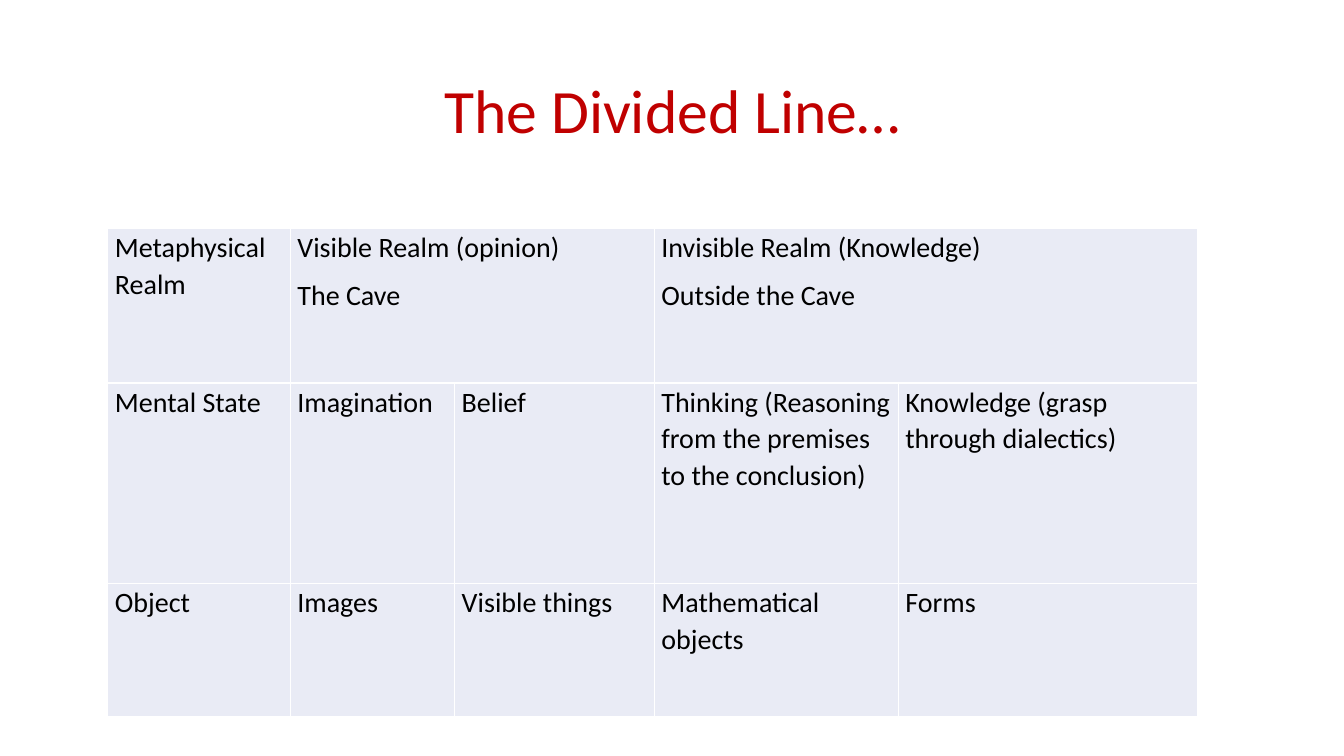
from lxml import etree
from pptx import Presentation
from pptx.dml.color import RGBColor
from pptx.enum.text import MSO_ANCHOR, PP_ALIGN
from pptx.oxml.ns import qn
from pptx.util import Pt

PX = 9144  # EMU per px, 100 px to the inch
MIDDLE, TOP = MSO_ANCHOR.MIDDLE, MSO_ANCHOR.TOP
CENTER, LEFT = PP_ALIGN.CENTER, PP_ALIGN.LEFT
FONT = "Calibri"
RED, BLACK, WHITE, PALE_BLUE = "C00000", "000000", "FFFFFF", "E9EBF5"

COLUMN_WIDTHS = [181, 163, 198, 242, 297]
ROW_HEIGHTS = [153, 199, 132]
# None continues the cell on its left.
DIVIDED_LINE = [
    ["Metaphysical Realm", "Visible Realm (opinion)\nThe Cave", None,
     "Invisible Realm (Knowledge)\nOutside the Cave", None],
    ["Mental State", "Imagination", "Belief",
     "Thinking (Reasoning from the premises to the conclusion)",
     "Knowledge (grasp through dialectics)"],
    ["Object", "Images", "Visible things", "Mathematical objects", "Forms"],
]


def px(length):
    return length * PX


def rgb(color):
    return RGBColor.from_string(color)


def write(frame, text, size, color, align, line_spacing, space_after=0):
    frame.word_wrap = True
    frame.text = text
    for paragraph in frame.paragraphs:
        paragraph.alignment = align
        paragraph.line_spacing = line_spacing
        paragraph.space_after = Pt(space_after)
        paragraph.font.name = FONT
        paragraph.font.size = Pt(size)
        paragraph.font.color.rgb = rgb(color)


def add_title(slide, left, top, width, height):
    title = slide.shapes.add_textbox(px(left), px(top), px(width), px(height))
    title.text_frame.vertical_anchor = MIDDLE
    write(title.text_frame, "The Divided Line…", 44, RED, CENTER, 0.9)


def add_borders(cell, color, width):
    properties = cell._tc.get_or_add_tcPr()
    for side in ("a:lnL", "a:lnR", "a:lnT", "a:lnB"):
        border = etree.SubElement(properties, qn(side), w=str(Pt(width)))
        fill = etree.SubElement(border, qn("a:solidFill"))
        etree.SubElement(fill, qn("a:srgbClr"), val=color)


def style_cell(cell):
    add_borders(cell, WHITE, 1)
    cell.fill.solid()
    cell.fill.fore_color.rgb = rgb(PALE_BLUE)
    cell.margin_left = cell.margin_right = px(7)
    cell.margin_top = cell.margin_bottom = 0
    cell.vertical_anchor = TOP


def add_divided_line(slide, left, top):
    frame = slide.shapes.add_table(
        len(ROW_HEIGHTS), len(COLUMN_WIDTHS), px(left), px(top),
        px(sum(COLUMN_WIDTHS)), px(sum(ROW_HEIGHTS)))
    table = frame.table
    table.first_row = table.horz_banding = False
    for column, width in zip(table.columns, COLUMN_WIDTHS):
        column.width = px(width)
    for row, height in zip(table.rows, ROW_HEIGHTS):
        row.height = px(height)
    for r, entries in enumerate(DIVIDED_LINE):
        for c, entry in enumerate(entries):
            cell = table.cell(r, c)
            style_cell(cell)
            if entry is None:
                table.cell(r, c - 1).merge(cell)
            else:
                write(cell.text_frame, entry, 20, BLACK, LEFT, 1.07, 8)


def main():
    presentation = Presentation()
    presentation.slide_width = px(1333)
    presentation.slide_height = px(750)
    slide = presentation.slides.add_slide(presentation.slide_layouts[6])
    add_title(slide, 92, 40, 1150, 145)
    add_divided_line(slide, 107, 227)
    presentation.save("out.pptx")


if __name__ == "__main__":
    main()
